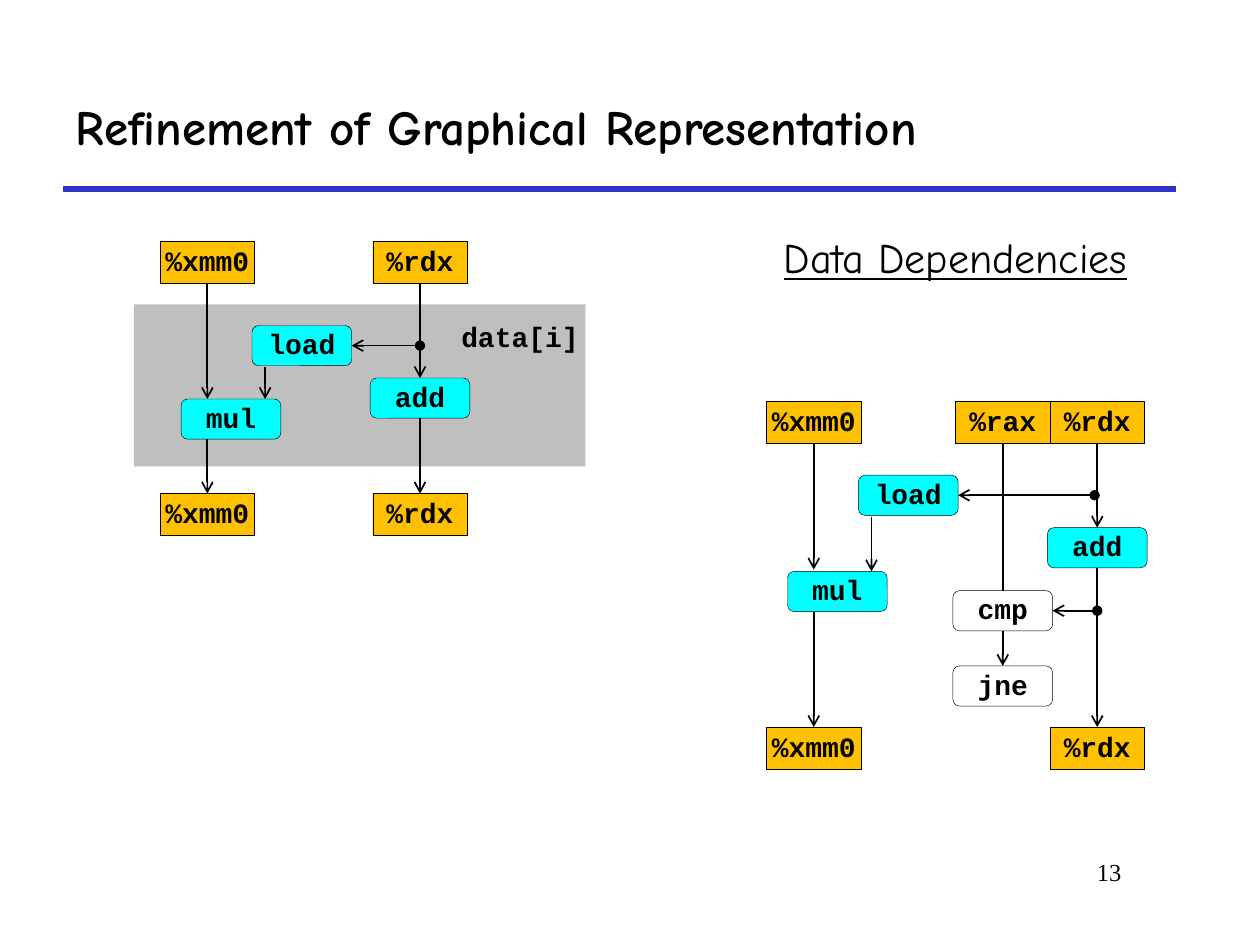
from lxml import etree
from pptx import Presentation
from pptx.dml.color import RGBColor
from pptx.enum.shapes import MSO_CONNECTOR, MSO_SHAPE
from pptx.enum.text import MSO_ANCHOR, MSO_AUTO_SIZE, PP_ALIGN
from pptx.oxml.ns import qn
from pptx.util import Pt

BLACK = RGBColor(0x00, 0x00, 0x00)
WHITE = RGBColor(0xFF, 0xFF, 0xFF)
BLUE = RGBColor(0x33, 0x33, 0xCC)
GRAY = RGBColor(0xBF, 0xBF, 0xBF)
ORANGE = RGBColor(0xFF, 0xC0, 0x00)
CYAN = RGBColor(0x00, 0xFF, 0xFF)

TOP, LEFT, BOTTOM, RIGHT = range(4)
REGISTER_SIZE = (54, 24)
OPERATION_SIZE = (57, 23)


def write(shape, text, font="Courier New", size=16, bold=True, underline=None,
          align=PP_ALIGN.CENTER, anchor=MSO_ANCHOR.MIDDLE, margins=(7.2, 3.6),
          spacing=0.9):
    frame = shape.text_frame
    frame.auto_size = MSO_AUTO_SIZE.NONE
    frame.word_wrap = True
    frame.vertical_anchor = anchor
    frame.margin_left = frame.margin_right = Pt(margins[0])
    frame.margin_top = frame.margin_bottom = Pt(margins[1])
    para = frame.paragraphs[0]
    para.alignment = align
    para.line_spacing = spacing
    span = para.add_run()
    span.text = text
    span.font.name = font
    span.font.size = Pt(size)
    span.font.bold = bold
    span.font.underline = underline
    span.font.color.rgb = BLACK


def connect(start, end, color=BLACK, width=1, head=None, tail="arrow"):
    """Draw a line; each end is an (x, y) point or a (shape, side) pair."""
    points = [(0, 0) if hasattr(e[0], "shape_id") else e for e in (start, end)]
    line = page.shapes.add_connector(
        MSO_CONNECTOR.STRAIGHT, *[Pt(v) for point in points for v in point])
    for place, join in ((start, line.begin_connect), (end, line.end_connect)):
        if hasattr(place[0], "shape_id"):
            join(*place)
    line.line.color.rgb = color
    line.line.width = Pt(width)
    outline = line.line._get_or_add_ln()
    for tag, kind in (("a:headEnd", head), ("a:tailEnd", tail)):
        if kind:
            etree.SubElement(outline, qn(tag), type=kind)
    etree.SubElement(line._element.spPr, qn("a:effectLst"))


deck = Presentation()
deck.slide_width, deck.slide_height = Pt(720), Pt(540)
page = deck.slides.add_slide(deck.slide_layouts[5])

title = page.shapes.title
title.left, title.top, title.width, title.height = Pt(36), Pt(36), Pt(636), Pt(72)
write(title, "Refinement of Graphical Representation", font="Comic Neue", size=28,
      align=PP_ALIGN.LEFT, spacing=1)
connect((36, 108), (672, 108), color=BLUE, width=3, tail=None)

band = page.shapes.add_shape(MSO_SHAPE.RECTANGLE, Pt(76.5), Pt(174), Pt(258), Pt(92.5))
band.shadow.inherit = False
band.fill.solid()
band.fill.fore_color.rgb = GRAY
band.line.fill.background()

# Text boxes: text, left, top, width, height, format
labels = [
    ("Data Dependencies", 402, 132, 288, 33,
     dict(font="Comic Neue", size=24, bold=False, underline=True)),
    ("data[i]", 256.5, 181, 87, 25, dict(align=PP_ALIGN.LEFT)),
    ("13", 546, 486, 102, 36,
     dict(font="Times New Roman", size=14, bold=False, align=PP_ALIGN.RIGHT, spacing=1)),
]
for text, left, top, width, height, style in labels:
    box = page.shapes.add_textbox(Pt(left), Pt(top), Pt(width), Pt(height))
    write(box, text, anchor=MSO_ANCHOR.TOP, **style)

# Nodes: key, text, left, top, fill; registers are the orange ones
nodes = {}
for key, text, left, top, fill in [
    ("xmm0 in", "%xmm0", 91.5, 138, ORANGE),
    ("rdx in", "%rdx", 213, 138, ORANGE),
    ("xmm0 out", "%xmm0", 91.5, 282, ORANGE),
    ("rdx out", "%rdx", 213, 282, ORANGE),
    ("load", "load", 144, 186, CYAN),
    ("mul", "mul", 103.5, 228, CYAN),
    ("add", "add", 211.5, 216, CYAN),
    ("right xmm0 in", "%xmm0", 438, 229.5, ORANGE),
    ("right rax in", "%rax", 546, 229.5, ORANGE),
    ("right rdx in", "%rdx", 600, 229.5, ORANGE),
    ("right xmm0 out", "%xmm0", 438, 415.5, ORANGE),
    ("right rdx out", "%rdx", 600, 415.5, ORANGE),
    ("right load", "load", 490.5, 271.5, CYAN),
    ("right mul", "mul", 450, 326.5, CYAN),
    ("right add", "add", 598.5, 301.5, CYAN),
    ("right cmp", "cmp", 544.5, 337.5, WHITE),
    ("right jne", "jne", 544.5, 380.5, WHITE),
]:
    register = fill == ORANGE
    kind = MSO_SHAPE.RECTANGLE if register else MSO_SHAPE.ROUNDED_RECTANGLE
    width, height = REGISTER_SIZE if register else OPERATION_SIZE
    node = page.shapes.add_shape(kind, Pt(left), Pt(top), Pt(width), Pt(height))
    node.shadow.inherit = False
    node.fill.solid()
    node.fill.fore_color.rgb = fill
    node.line.color.rgb = BLACK
    node.line.width = Pt(0.25)
    write(node, text, margins=(0, 0))
    nodes[key] = node

# Data flow: start, end, head, tail
for start, end, head, tail in [
    (("xmm0 in", BOTTOM), (118.5, 228), None, "arrow"),
    ((118.5, 251), ("xmm0 out", TOP), None, "arrow"),
    (("rdx in", BOTTOM), ("add", TOP), None, "arrow"),
    (("add", BOTTOM), ("rdx out", TOP), None, "arrow"),
    ((240, 197.5), ("load", RIGHT), "oval", "arrow"),
    ((151.5, 210), (151.5, 228), None, "arrow"),
    (("right xmm0 in", BOTTOM), (465, 325.5), None, "arrow"),
    ((465, 349.5), ("right xmm0 out", TOP), None, "arrow"),
    (("right rax in", BOTTOM), ("right cmp", TOP), None, None),
    (("right cmp", BOTTOM), ("right jne", TOP), None, "arrow"),
    (("right rdx in", BOTTOM), ("right add", TOP), None, "arrow"),
    (("right add", BOTTOM), ("right rdx out", TOP), None, "arrow"),
    ((625.5, 283), ("right load", RIGHT), "oval", "arrow"),
    ((627, 349), ("right cmp", RIGHT), "oval", "arrow"),
    ((498, 295.5), (498, 326.5), None, "arrow"),
]:
    ends = [(nodes.get(first, first), second) for first, second in (start, end)]
    connect(*ends, head=head, tail=tail)

deck.save("out.pptx")
